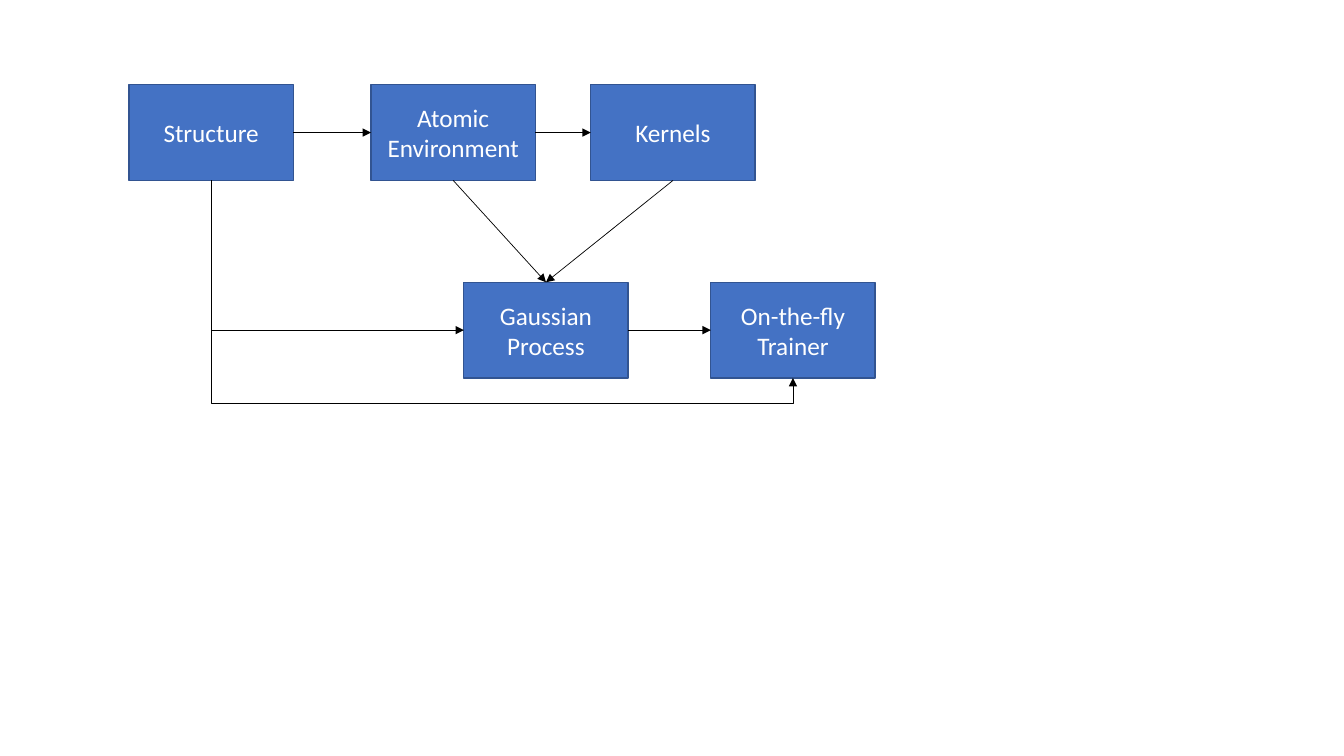
from lxml import etree
from pptx import Presentation
from pptx.dml.color import RGBColor
from pptx.enum.shapes import MSO_CONNECTOR, MSO_SHAPE
from pptx.enum.text import MSO_ANCHOR, PP_ALIGN
from pptx.oxml.ns import qn
from pptx.util import Inches, Pt

RECTANGLE = MSO_SHAPE.RECTANGLE
STRAIGHT, ELBOW = MSO_CONNECTOR.STRAIGHT, MSO_CONNECTOR.ELBOW
MIDDLE, CENTER = MSO_ANCHOR.MIDDLE, PP_ALIGN.CENTER
TOP, LEFT, BOTTOM, RIGHT = range(4)

COLORS = {"box": "4472C4", "border": "325491", "text": "FFFFFF", "arrow": "000000"}
BOX_WIDTH, BOX_HEIGHT = 1.63, 0.95
UPPER_ROW, LOWER_ROW = 0.84, 2.8
LOOP_Y = 4.0

BOXES = {
    "Structure": (1.28, UPPER_ROW),
    "Atomic Environment": (3.68, UPPER_ROW),
    "Kernels": (5.86, UPPER_ROW),
    "Gaussian Process": (4.6, LOWER_ROW),
    "On-the-fly Trainer": (7.05, LOWER_ROW),
}
STRAIGHT_ARROWS = [
    ("Structure", RIGHT, "Atomic Environment", LEFT),
    ("Atomic Environment", RIGHT, "Kernels", LEFT),
    ("Atomic Environment", BOTTOM, "Gaussian Process", TOP),
    ("Kernels", BOTTOM, "Gaussian Process", TOP),
    ("Gaussian Process", RIGHT, "On-the-fly Trainer", LEFT),
]


def color(name):
    return RGBColor.from_string(COLORS[name])


def add_box(page, label, left, top):
    box = page.shapes.add_shape(
        RECTANGLE, Inches(left), Inches(top), Inches(BOX_WIDTH), Inches(BOX_HEIGHT)
    )
    box.shadow.inherit = False
    box.fill.solid()
    box.fill.fore_color.rgb = color("box")
    box.line.color.rgb = color("border")
    box.line.width = Pt(1)
    frame = box.text_frame
    frame.word_wrap = True
    frame.vertical_anchor = MIDDLE
    para = frame.paragraphs[0]
    para.alignment = CENTER
    span = para.add_run()
    span.text = label
    for name, value in {"name": "Calibri", "size": Pt(18)}.items():
        setattr(span.font, name, value)
    span.font.color.rgb = color("text")
    return box


def add_arrow(page, kind, source, source_side, target, target_side):
    arrow = page.shapes.add_connector(kind, 0, 0, 0, 0)
    arrow.begin_connect(source, source_side)
    arrow.end_connect(target, target_side)
    arrow.line.color.rgb = color("arrow")
    arrow.line.width = Pt(0.5)
    etree.SubElement(arrow.get_or_add_ln(), qn("a:tailEnd"), type="triangle")
    etree.SubElement(arrow._element.spPr, qn("a:effectLst"))
    return arrow


def add_downward_elbow(page, source, target, target_side, loop_y=None):
    """Leave the source downward; turn once, or twice when loop_y is given."""
    arrow = add_arrow(page, ELBOW, source, BOTTOM, target, target_side)
    start_x, start_y = arrow.begin_x, arrow.begin_y
    end_x, end_y = arrow.end_x, arrow.end_y
    across, down = end_x - start_x, end_y - start_y
    # A quarter turn swaps the frame's width and height about its centre.
    frame = {
        "left": (start_x + end_x - down) // 2,
        "top": (start_y + end_y - across) // 2,
        "width": down,
        "height": across,
    }
    for name, value in frame.items():
        setattr(arrow, name, value)
    properties = arrow._element.spPr
    transform = properties.find(qn("a:xfrm"))
    transform.set("rot", str(270 * 60000))
    transform.set("flipH", "1")
    geometry = properties.find(qn("a:prstGeom"))
    if loop_y is None:
        geometry.set("prst", "bentConnector2")
    else:
        bend = round((Inches(loop_y) - start_y) / down * 100000)
        adjustments = geometry.find(qn("a:avLst"))
        etree.SubElement(adjustments, qn("a:gd"), name="adj1", fmla=f"val {bend}")


def main():
    deck = Presentation()
    deck.slide_width, deck.slide_height = Inches(13.33), Inches(7.5)
    page = deck.slides.add_slide(deck.slide_layouts[6])

    boxes = {label: add_box(page, label, *place) for label, place in BOXES.items()}
    for source, source_side, target, target_side in STRAIGHT_ARROWS:
        add_arrow(page, STRAIGHT, boxes[source], source_side, boxes[target], target_side)
    structure = boxes["Structure"]
    add_downward_elbow(page, structure, boxes["On-the-fly Trainer"], BOTTOM, LOOP_Y)
    add_downward_elbow(page, structure, boxes["Gaussian Process"], LEFT)

    deck.save("out.pptx")


if __name__ == "__main__":
    main()
